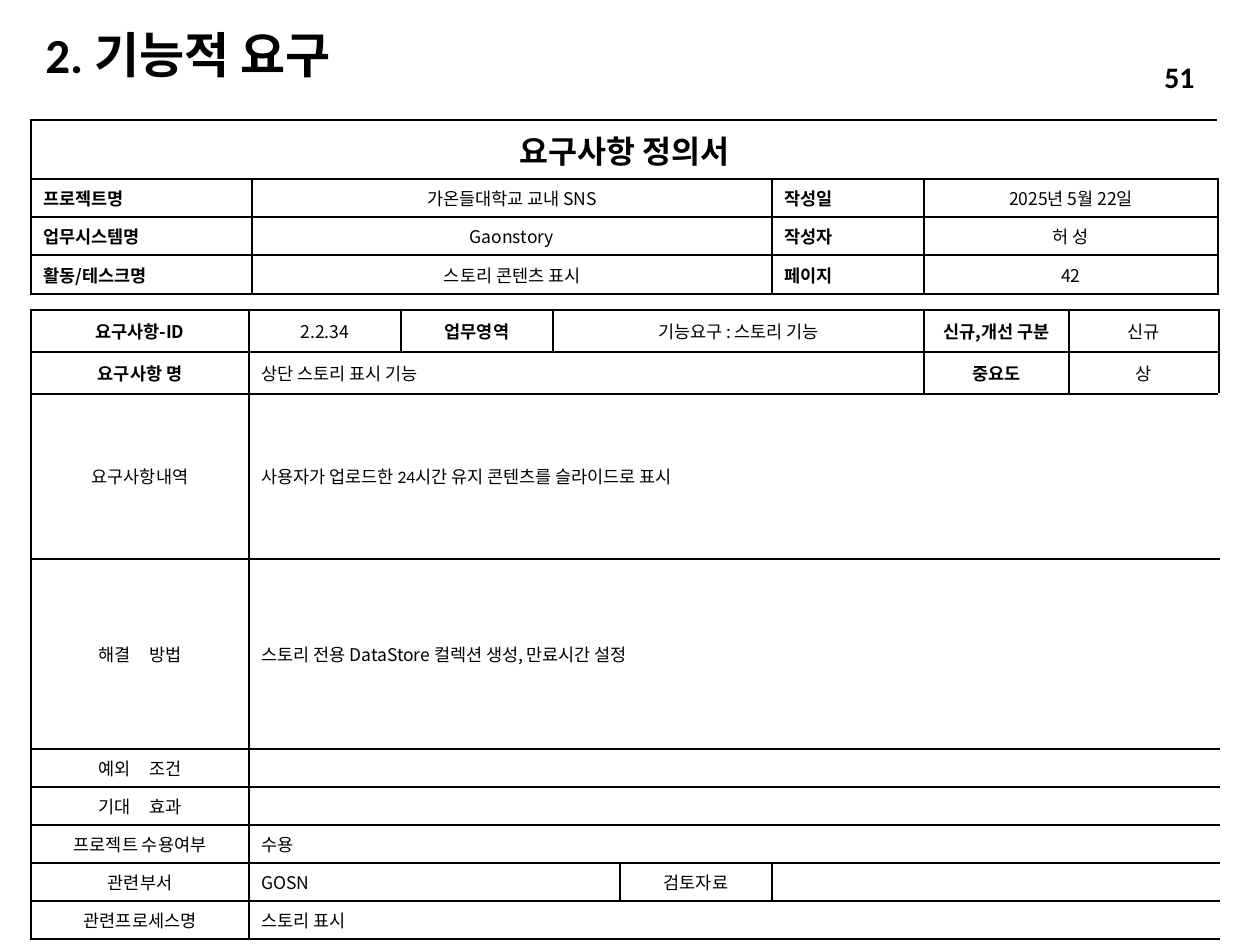
from lxml import etree
from pptx import Presentation
from pptx import util as u
from pptx.dml.color import RGBColor
from pptx.enum import text
from pptx.oxml.ns import qn

PX = 914400 / 126
BLACK = RGBColor(0, 0, 0)
NOTO, CALIBRI = "Noto Sans CJK KR", "Calibri"
LEFT, CENTER = text.PP_ALIGN.LEFT, text.PP_ALIGN.CENTER
RIGHT, JUSTIFY = text.PP_ALIGN.RIGHT, text.PP_ALIGN.JUSTIFY
THIN, THICK = 1, 1.5


def px(n):
    return u.Emu(round(n * PX))


def add_form(slide, left, top, widths, heights, entries, thick_rows):
    """Draw a bordered form; entries are (row, column, span, text, align, bold, size, font).

    thick_rows holds the numbers of the horizontal rules drawn thick.
    """
    form = slide.shapes.add_table(len(heights), len(widths), px(left), px(top),
                                  px(sum(widths)), px(sum(heights))).table
    form.first_row = form.horz_banding = False
    for column, width in zip(form.columns, widths):
        column.width = px(width)
    for row, height in zip(form.rows, heights):
        row.height = px(height)

    for r, c, span, words, align, bold, size, font in entries:
        last = c + span - 1
        cell = form.cell(r, c)
        if span > 1:
            cell.merge(form.cell(r, last))
        cell.vertical_anchor = text.MSO_ANCHOR.MIDDLE
        paragraph = cell.text_frame.paragraphs[0]
        paragraph.alignment = align
        paragraph.font.size = u.Pt(size)
        paragraph.font.name = font
        paragraph.font.bold = bold
        paragraph.font.color.rgb = BLACK
        if words in SPREAD_LABELS:
            first, second = words.split()
            for part in (first, " ", second):
                run = paragraph.add_run()
                run.text = part
                if part == " ":
                    run._r.get_or_add_rPr().set("spc", "900")
        elif words:
            paragraph.add_run().text = words
        else:
            end = etree.SubElement(paragraph._p, qn("a:endParaRPr"))
            end.set("sz", str(size * 100))

        for k in range(c, last + 1):
            part = form.cell(r, k)
            edges = {"a:lnT": THICK if r in thick_rows else THIN,
                     "a:lnB": THICK if r + 1 in thick_rows else THIN}
            if k == c:
                edges["a:lnL"] = THICK if c == 0 else THIN
            if k == last:
                edges["a:lnR"] = THICK if k == len(widths) - 1 else THIN
            properties = part._tc.get_or_add_tcPr()
            for tag in ("a:lnL", "a:lnR", "a:lnT", "a:lnB"):
                if tag in edges:
                    line = etree.SubElement(properties, qn(tag), w=str(u.Pt(edges[tag])))
                    fill = etree.SubElement(line, qn("a:solidFill"))
                    etree.SubElement(fill, qn("a:srgbClr"), val=str(BLACK))
            part.fill.background()


SPREAD_LABELS = {"해결 방법", "예외 조건", "기대 효과"}

prs = Presentation()
prs.slide_width, prs.slide_height = u.Inches(10), u.Inches(7.5)
slide = prs.slides.add_slide(prs.slide_layouts[6])

for words, box, size, align in (
    ("2. 기능적 요구", (33, 26, 675, 55), 28, LEFT),
    ("51", (1003, 52, 204, 50), 17, RIGHT),
):
    frame = slide.shapes.add_textbox(*map(px, box)).text_frame
    frame.word_wrap = True
    frame.vertical_anchor = text.MSO_ANCHOR.MIDDLE
    heading = frame.paragraphs[0]
    heading.text = words
    heading.alignment = align
    heading.font.size = u.Pt(size)
    heading.font.name = CALIBRI
    heading.font.bold = True
    heading.font.color.rgb = BLACK

project_rows = [
    ("프로젝트명", "가온들대학교 교내 SNS", "작성일", "2025년 5월 22일"),
    ("업무시스템명", "Gaonstory", "작성자", "허 성"),
    ("활동/테스크명", "스토리 콘텐츠 표시", "페이지", "42"),
]
project_entries = [(0, 0, 4, "요구사항 정의서", CENTER, True, 18, NOTO)]
for r, row in enumerate(project_rows, 1):
    for c, words in enumerate(row):
        is_label = c % 2 == 0
        project_entries.append((r, c, 1, words, JUSTIFY if is_label else CENTER,
                                is_label, 10, NOTO))
add_form(slide, 31, 120, [221, 520, 152, 294], [59, 38, 38, 39],
         project_entries, {0, 4})

requirement_rows = [
    # (text, columns spanned, align, bold)
    [("요구사항-ID", 1, CENTER, True), ("2.2.34", 1, CENTER, False),
     ("업무영역", 1, CENTER, True), ("기능요구 : 스토리 기능", 3, CENTER, False),
     ("신규,개선 구분", 1, CENTER, True), ("신규", 1, CENTER, False)],
    [("요구사항 명", 1, CENTER, True), ("상단 스토리 표시 기능", 5, LEFT, False),
     ("중요도", 1, CENTER, True), ("상", 1, CENTER, False)],
]
for label, answer in (
    ("요구사항내역", "사용자가 업로드한 24시간 유지 콘텐츠를 슬라이드로 표시"),
    ("해결 방법", "스토리 전용 DataStore 컬렉션 생성, 만료시간 설정"),
    ("예외 조건", ""),
    ("기대 효과", ""),
    ("프로젝트 수용여부", "수용"),
    ("관련프로세스명", "스토리 표시"),
):
    requirement_rows.append([(label, 1, CENTER, False), (answer, 7, LEFT, False)])
requirement_rows.insert(7, [("관련부서", 1, CENTER, False), ("GOSN", 3, LEFT, False),
                            ("검토자료", 1, CENTER, False), ("", 3, LEFT, False)])

requirement_entries = []
for r, row in enumerate(requirement_rows):
    c = 0
    for words, span, align, bold in row:
        font = CALIBRI if (r, c) == (2, 1) else NOTO
        requirement_entries.append((r, c, span, words, align, bold, 10, font))
        c += span
add_form(slide, 31, 310, [218, 152, 152, 67, 152, 152, 145, 150],
         [42, 42, 165, 190] + [38] * 5, requirement_entries, {0, 1, 2, 9})

prs.save("out.pptx")
